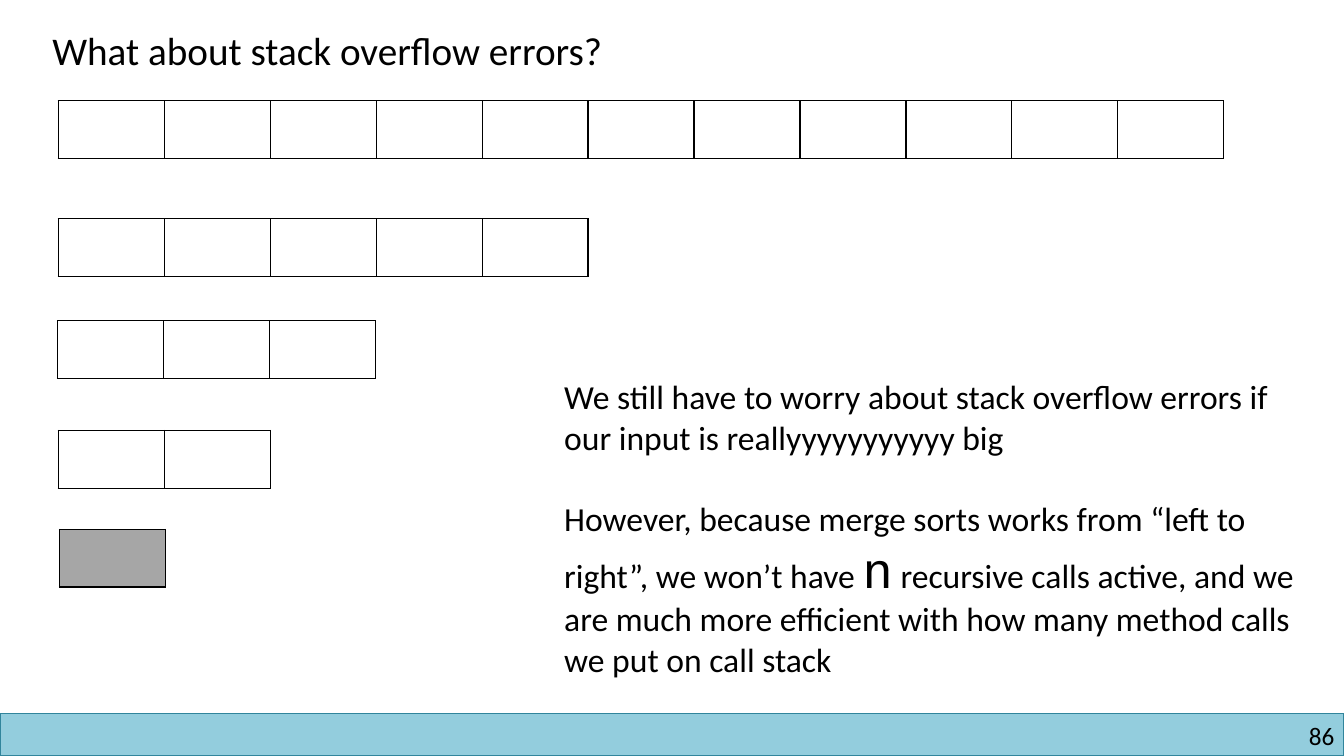
from dataclasses import dataclass

from lxml import etree
from pptx import Presentation
from pptx.dml.color import RGBColor
from pptx.enum.shapes import MSO_SHAPE
from pptx.enum.text import MSO_ANCHOR, PP_ALIGN
from pptx.oxml.ns import qn
from pptx.slide import Slide
from pptx.util import Cm, Pt

RECTANGLE = MSO_SHAPE.RECTANGLE
TOP = MSO_ANCHOR.TOP
LEFT, RIGHT = PP_ALIGN.LEFT, PP_ALIGN.RIGHT

COLORS = {
    "ink": "000000",
    "cell": "FFFFFF",
    "base_case": "A6A6A6",
    "footer": "93CDDD",
    "footer_edge": "31859C",
}
SLIDE_WIDTH, SLIDE_HEIGHT = 33.87, 19.05
FOOTER_TOP = 17.98
CELL_WIDTH, CELL_HEIGHT = 2.67, 1.45
BODY_FONT, CODE_FONT = "Calibri", "Courier New"
BORDER_WIDTH = Pt(1)


@dataclass(frozen=True)
class ArrayRow:
    left: float
    top: float
    length: int
    fill: str = "cell"


@dataclass(frozen=True)
class Run:
    text: str
    size: float
    font: str = BODY_FONT


@dataclass(frozen=True)
class TextBlock:
    left: float
    top: float
    width: float
    height: float
    paragraphs: tuple[tuple[Run, ...], ...]
    align: PP_ALIGN = LEFT
    wrap: bool = True
    inset_x: float = 0.25
    inset_y: float = 0.13
    gap: float = 0


ARRAY_ROWS = (
    ArrayRow(1.47, 2.54, 11),
    ArrayRow(1.47, 5.51, 5),
    ArrayRow(1.45, 8.08, 3),
    ArrayRow(1.47, 10.85, 2),
    ArrayRow(1.5, 13.34, 1, "base_case"),
)

TEXT_BLOCKS = (
    TextBlock(25.83, 18.16, 7.8, 0.76, ((Run("86", 18),),),
              align=RIGHT, inset_x=0, inset_y=0),
    TextBlock(1.07, 0.53, 15.67, 1.45,
              ((Run("What about stack overflow errors?", 28),),), wrap=False),
    TextBlock(13.97, 9.35, 19.33, 7.95, (
        (Run("We still have to worry about stack overflow errors if our input "
             "is reallyyyyyyyyyyy big", 24),),
        (Run("However, because merge sorts works from “left to right”, "
             "we won’t have ", 24),
         Run("n", 36, CODE_FONT),
         Run(" recursive calls active, and we are much more efficient with how "
             "many method calls we put on call stack", 24)),
    ), gap=29),
)


def rgb(name: str) -> RGBColor:
    return RGBColor.from_string(COLORS[name])


def apply_format(target: object, values: dict[str, object]) -> None:
    for attribute, value in values.items():
        setattr(target, attribute, value)


def draw_footer(slide: Slide) -> None:
    footer = slide.shapes.add_shape(
        RECTANGLE, Cm(0), Cm(FOOTER_TOP),
        Cm(SLIDE_WIDTH), Cm(SLIDE_HEIGHT - FOOTER_TOP))
    footer.shadow.inherit = False
    footer.fill.solid()
    footer.fill.fore_color.rgb = rgb("footer")
    footer.line.color.rgb = rgb("footer_edge")
    footer.line.width = BORDER_WIDTH


def draw_array(slide: Slide, row: ArrayRow) -> None:
    array = slide.shapes.add_table(
        1, row.length, Cm(row.left), Cm(row.top),
        Cm(CELL_WIDTH * row.length), Cm(CELL_HEIGHT)).table
    apply_format(array, {"first_row": False, "horz_banding": False})
    for column in array.columns:
        column.width = Cm(CELL_WIDTH)
    for cell in array.iter_cells():
        cell.fill.solid()
        cell.fill.fore_color.rgb = rgb(row.fill)
        properties = cell._tc.get_or_add_tcPr()
        for position, side in enumerate(("a:lnL", "a:lnR", "a:lnT", "a:lnB")):
            border = etree.Element(qn(side), w=str(int(BORDER_WIDTH)))
            ink = etree.SubElement(border, qn("a:solidFill"))
            etree.SubElement(ink, qn("a:srgbClr"), val=COLORS["ink"])
            properties.insert(position, border)


def draw_text(slide: Slide, block: TextBlock) -> None:
    frame = slide.shapes.add_textbox(
        Cm(block.left), Cm(block.top),
        Cm(block.width), Cm(block.height)).text_frame
    apply_format(frame, {
        "word_wrap": block.wrap,
        "vertical_anchor": TOP,
        "margin_left": Cm(block.inset_x),
        "margin_right": Cm(block.inset_x),
        "margin_top": Cm(block.inset_y),
        "margin_bottom": Cm(block.inset_y),
    })
    for index, runs in enumerate(block.paragraphs):
        paragraph = frame.add_paragraph() if index else frame.paragraphs[0]
        paragraph.alignment = block.align
        if index:
            paragraph.space_before = Pt(block.gap)
        for part in runs:
            run = paragraph.add_run()
            run.text = part.text
            apply_format(run.font, {"name": part.font, "size": Pt(part.size)})
            run.font.color.rgb = rgb("ink")


def main() -> None:
    presentation = Presentation()
    apply_format(presentation, {"slide_width": Cm(SLIDE_WIDTH),
                                "slide_height": Cm(SLIDE_HEIGHT)})
    slide = presentation.slides.add_slide(presentation.slide_layouts[6])
    draw_footer(slide)
    for row in ARRAY_ROWS:
        draw_array(slide, row)
    for block in TEXT_BLOCKS:
        draw_text(slide, block)
    presentation.save("out.pptx")


if __name__ == "__main__":
    main()
